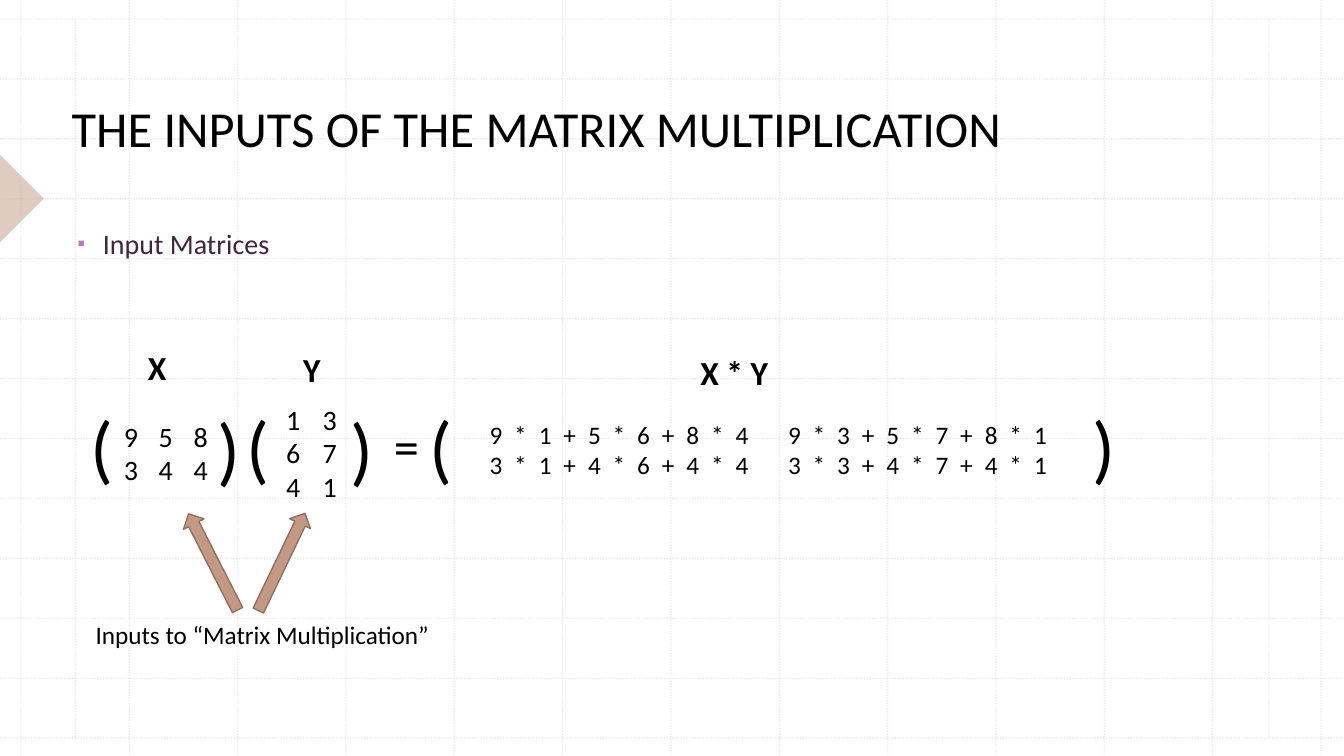
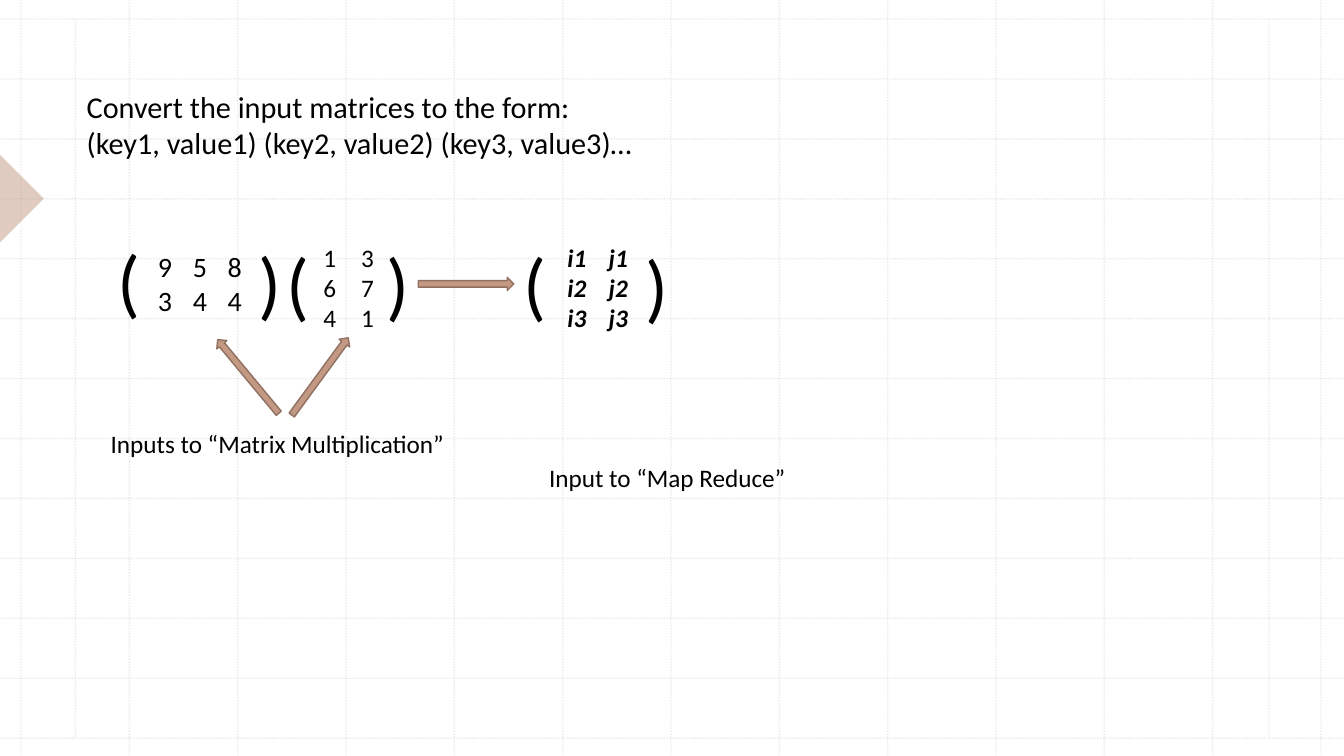
import lxml.etree
import pptx
import pptx.dml.color
import pptx.enum.dml
import pptx.enum.shapes
import pptx.enum.text
import pptx.oxml.ns
import pptx.util

Cm = pptx.util.Cm
Pt = pptx.util.Pt
RGBColor = pptx.dml.color.RGBColor
SHAPE = pptx.enum.shapes.MSO_SHAPE
qn = pptx.oxml.ns.qn
SubElement = lxml.etree.SubElement

FONT = "Calibri"
BLACK = RGBColor(0x00, 0x00, 0x00)
GRID = RGBColor(0xBC, 0xBC, 0xBC)
CLAY = RGBColor(0xC3, 0x99, 0x83)
CLAY_DARK = RGBColor(0x90, 0x71, 0x61)
PLUM = RGBColor(0x41, 0x24, 0x3E)
BULLET = RGBColor(0xB6, 0x7B, 0xB0)


def format_text(tf, size, color=BLACK, bold=False, italic=False):
    for p in tf.paragraphs:
        for r in p.runs:
            r.font.name = FONT
            r.font.size = Pt(size)
            r.font.color.rgb = color
            r.font.bold = bold
            r.font.italic = italic


def add_text(s, x, y, w, h, text, size, bold=False, italic=False, stops=()):
    tf = s.shapes.add_textbox(Cm(x), Cm(y), Cm(w), Cm(h)).text_frame
    tf.word_wrap = True
    tf.text = text.replace(" ", "\t") if stops else text
    format_text(tf, size, bold=bold, italic=italic)
    for p in tf.paragraphs:
        if stops:
            tabs = SubElement(p._p.get_or_add_pPr(), qn("a:tabLst"))
            for stop in stops:
                SubElement(tabs, qn("a:tab"), pos=str(Cm(stop)), algn="l")


prs = pptx.Presentation()
prs.slide_width = Cm(33.87)
prs.slide_height = Cm(19.05)
inputs = prs.slides.add_slide(prs.slide_layouts[1])
pairs = prs.slides.add_slide(prs.slide_layouts[5])

grid = [(0.53 + 2.73 * i, 0, 0.53 + 2.73 * i, 19.05) for i in range(13)]
grid += [(0, 0.48 + 1.51 * i, 33.87, 0.48 + 1.51 * i) for i in range(13)]
grid += [(x, 0.48, x, 18.57) for x in (1.9, 31.98)]
backdrop = []
for x1, y1, x2, y2 in grid:
    line = inputs.shapes.add_connector(
        pptx.enum.shapes.MSO_CONNECTOR.STRAIGHT, Cm(x1), Cm(y1), Cm(x2), Cm(y2))
    line.line.color.rgb = GRID
    line.line.width = Pt(1)
    line.line.dash_style = pptx.enum.dml.MSO_LINE.ROUND_DOT
    SubElement(line._element.spPr, qn("a:effectLst"))
    SubElement(line._element.xpath(".//a:srgbClr")[0], qn("a:alpha"), val="30000")
    backdrop.append(line._element)

marker = inputs.shapes.add_shape(SHAPE.RIGHT_TRIANGLE, Cm(-0.79), Cm(4.22), Cm(1.57), Cm(1.57))
marker.rotation = 225
marker.shadow.inherit = False
marker.fill.solid()
marker.fill.fore_color.rgb = CLAY
marker.line.fill.background()
SubElement(marker._element.xpath(".//a:srgbClr")[0], qn("a:alpha"), val="50000")
backdrop.append(marker._element)

master_tree = prs.slide_master.element.cSld.spTree
for i, element in enumerate(backdrop):
    element.xpath(".//p:cNvPr")[0].set("id", str(100 + i))
    master_tree.insert(2 + i, element)

for s, text, size, x, y, h in (
    (inputs, "THE INPUTS OF THE MATRIX MULTIPLICATION", 36, 1.55, 2.59, 1.52),
    (pairs, "Convert the input matrices to the form:\v"
            "(key1, value1) (key2, value2) (key3, value3)…", 21.6, 1.93, 2.01, 2.16),
):
    title = s.shapes.title
    title.left, title.top, title.width, title.height = Cm(x), Cm(y), Cm(28.68), Cm(h)
    tf = title.text_frame
    tf.text = text
    tf.auto_size = pptx.enum.text.MSO_AUTO_SIZE.NONE
    tf.vertical_anchor = pptx.enum.text.MSO_ANCHOR.BOTTOM
    tf.paragraphs[0].alignment = pptx.enum.text.PP_ALIGN.LEFT
    format_text(tf, size)

body = inputs.placeholders[1]
body.left, body.top, body.width, body.height = Cm(1.7), Cm(5.49), Cm(28.68), Cm(9.91)
tf = body.text_frame
tf.text = "Input Matrices"
format_text(tf, 20, PLUM)
p = tf.paragraphs[0]
p.line_spacing = 1.1
p.space_before = Pt(10)
pPr = p._p.get_or_add_pPr()
pPr.set("marL", str(Cm(0.64)))
pPr.set("indent", str(Cm(-0.64)))
SubElement(SubElement(pPr, qn("a:buClr")), qn("a:srgbClr"), val=str(BULLET))
SubElement(pPr, qn("a:buSzPct"), val="75000")
SubElement(pPr, qn("a:buFont"), typeface=FONT)
SubElement(pPr, qn("a:buChar"), char="▪")

for s, text, x, y in (
    (inputs, "(", 2.03, 9.96), (inputs, ")", 5.23, 10.01),
    (inputs, "(", 5.97, 9.96), (inputs, ")", 8.59, 10.01),
    (inputs, "(", 10.57, 9.96), (inputs, ")", 27.28, 9.96),
    (pairs, "(", 2.72, 5.77), (pairs, ")", 6.27, 5.82),
    (pairs, "(", 6.96, 5.84), (pairs, ")", 9.5, 5.84),
    (pairs, "(", 12.95, 5.84), (pairs, ")", 16.03, 5.89),
):
    add_text(s, x, y, 1.8, 2.57, text, 54)

X = "9 5 8\n3 4 4"
Y = "1 3\n6 7\n4 1"
for s, text, x, y, size, pitch, strong in (
    (inputs, X, 2.87, 10.44, 20, 0.88, False),
    (inputs, Y, 6.96, 10.01, 20, 0.92, False),
    (pairs, X, 3.73, 6.17, 20, 0.88, False),
    (pairs, Y, 7.9, 5.97, 18, 0.95, False),
    (pairs, "i1 j1\ni2 j2\ni3 j3", 14.05, 5.97, 18, 1.04, True),
):
    add_text(s, x, y, 3, 2.6, text, size, strong, strong, (pitch, 2 * pitch))

product = ("9 * 1 + 5 * 6 + 8 * 4 9 * 3 + 5 * 7 + 8 * 1\n"
           "3 * 1 + 4 * 6 + 4 * 4 3 * 3 + 4 * 7 + 4 * 1")
term = [0.62 * i for i in range(11)]
add_text(inputs, 12.09, 10.44, 15.5, 1.8, product, 18,
         stops=term[1:] + [7.52 + stop for stop in term])

for text, x, y, w in (("X", 3.48, 8.61, 1.2), ("Y", 7.39, 8.66, 1.2), ("X * Y", 17.4, 8.74, 2.54)):
    add_text(inputs, x, y, w, 1.27, text, 24, bold=True)
add_text(inputs, 9.68, 10.34, 1.2, 1.8, "=", 36)

for s, text, x, y in (
    (inputs, "Inputs to “Matrix Multiplication”", 2.16, 15.49),
    (pairs, "Inputs to “Matrix Multiplication”", 2.54, 10.67),
    (pairs, "Input to “Map Reduce”", 13.59, 11.53),
):
    add_text(s, x, y, 10, 1.02, text, 18)

for s, kind, x, y, w, h, rotation in (
    (inputs, SHAPE.UP_ARROW, 5.08, 12.8, 0.58, 2.72, 333),
    (inputs, SHAPE.UP_ARROW, 6.81, 12.8, 0.58, 2.72, 25.6),
    (pairs, SHAPE.RIGHT_ARROW, 10.54, 6.99, 2.41, 0.33, 0),
    (pairs, SHAPE.RIGHT_ARROW, 6.86, 9.32, 2.41, 0.33, 306.2),
    (pairs, SHAPE.RIGHT_ARROW, 5.05, 9.32, 2.41, 0.33, 230.3),
):
    arrow = s.shapes.add_shape(kind, Cm(x), Cm(y), Cm(w), Cm(h))
    arrow.rotation = rotation
    arrow.shadow.inherit = False
    arrow.fill.solid()
    arrow.fill.fore_color.rgb = CLAY
    arrow.line.color.rgb = CLAY_DARK
    arrow.line.width = Pt(1)

prs.save("out.pptx")
